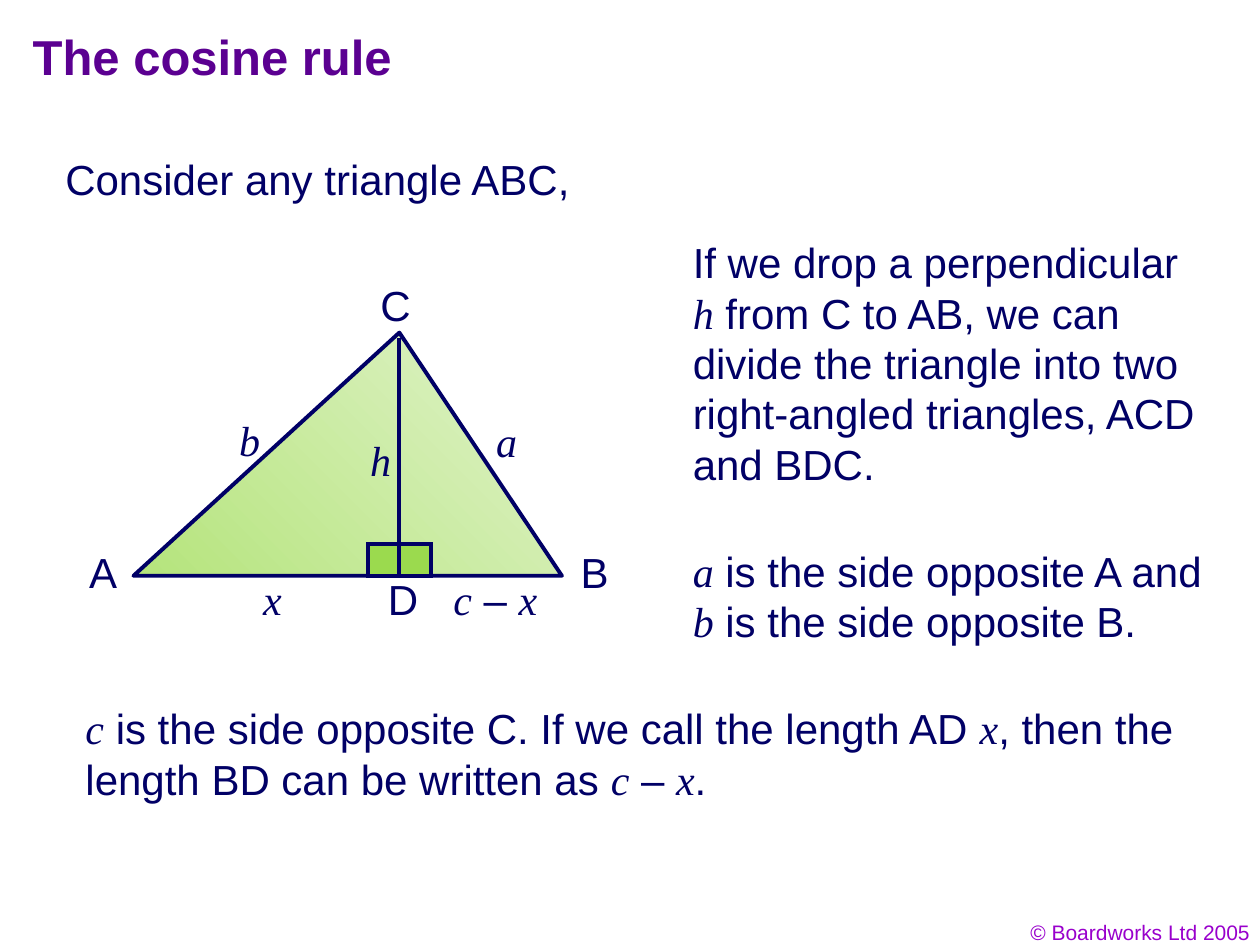
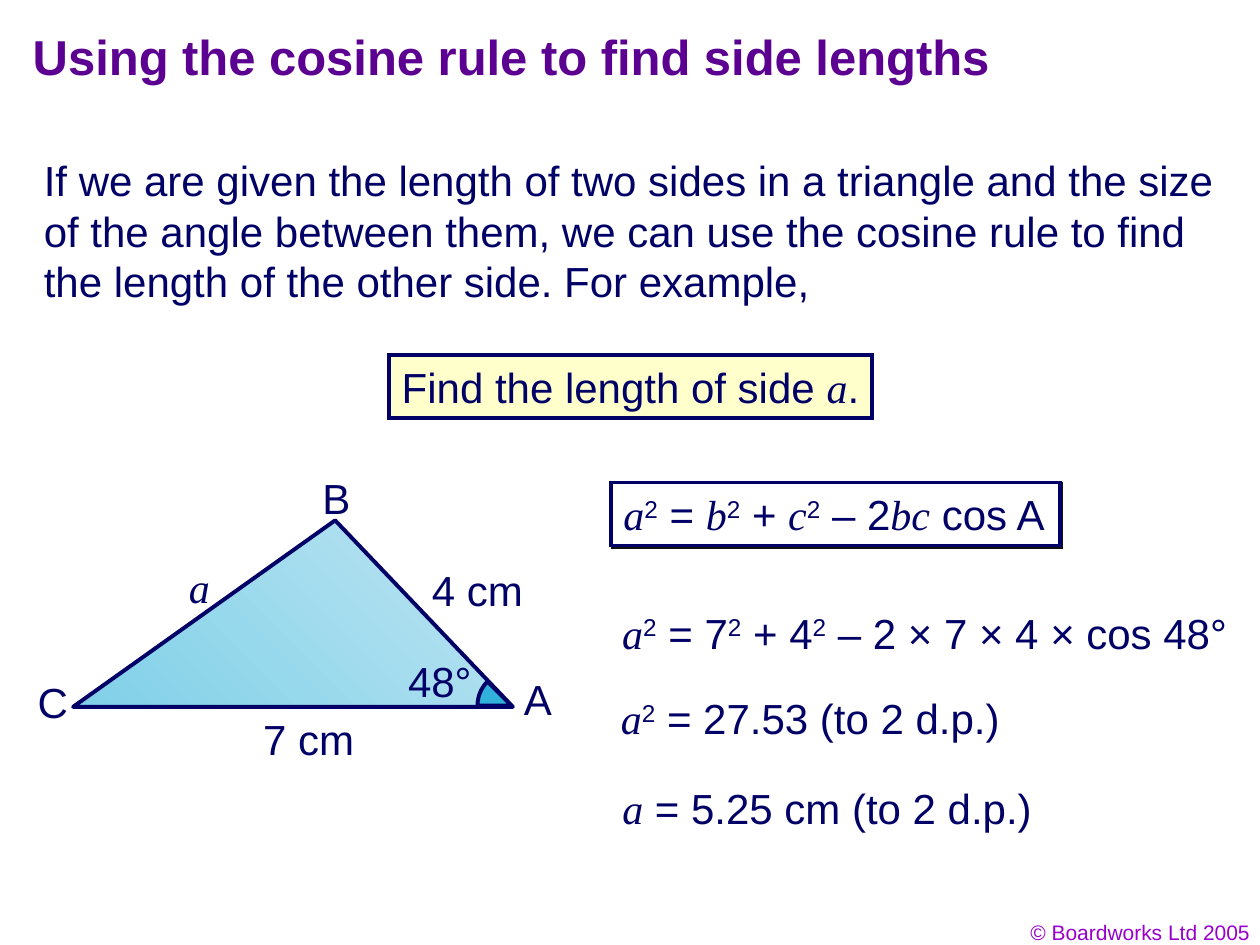
from math import cos, radians, sin
from lxml.etree import SubElement
from pptx import Presentation
from pptx.dml.color import RGBColor
from pptx.enum.shapes import MSO_CONNECTOR, MSO_SHAPE
from pptx.enum.text import MSO_ANCHOR, MSO_AUTO_SIZE, PP_ALIGN
from pptx.oxml.ns import qn
from pptx.util import Pt

PX = 9144
INK, EDGE, PLUM, VIOLET = "010066", "000066", "5B0091", "9900CC"
rgb = RGBColor.from_string


def put(shapes, at, text, fill=None, size=24, ink=INK, align=PP_ALIGN.LEFT):
    area = [n * PX for n in at]
    if fill:
        box = shapes.add_shape(MSO_SHAPE.RECTANGLE, *area)
        box.shadow.inherit = False
        box.fill.solid()
        box.fill.fore_color.rgb = rgb(fill)
        box.line.color.rgb = rgb(EDGE)
        box.line.width = Pt(2.25)
        SubElement(box._element.spPr.find(qn("a:ln")), qn("a:miter"), lim="800000")
    else:
        box = shapes.add_textbox(*area)
    frame = box.text_frame
    frame.word_wrap = at[3] > 50
    frame.vertical_anchor = MSO_ANCHOR.TOP
    para = frame.paragraphs[0]
    para.alignment = align
    para.line_spacing = Pt(size * 1.2)
    for i, part in enumerate(text.split("*")):
        for j, bit in enumerate(part.split("^")):
            if bit:
                run = para.add_run()
                run.text = bit
                run.font.size = Pt(size)
                run.font.color.rgb = rgb(ink)
                run.font.italic = i % 2 == 1
                run.font.name = "Times New Roman" if i % 2 else "Arial"
                if j % 2:
                    run.font._element.set("baseline", "30000")
    return box


def form(shapes, spots, fills):
    spots = [(round(x * PX), round(y * PX)) for x, y in spots]
    pen = shapes.build_freeform(*spots[0], scale=1.0)
    pen.add_line_segments(spots[1:], close=True)
    shape = pen.convert_to_shape()
    shape.shadow.inherit = False
    shape.line.color.rgb = rgb(EDGE)
    shape.line.width = Pt(2.25)
    if len(fills) == 1:
        shape.fill.solid()
        shape.fill.fore_color.rgb = rgb(fills[0])
    else:
        shape.fill.gradient()
        shape.fill.gradient_angle = 225
        for stop, tint in zip(shape.fill.gradient_stops, fills):
            stop.color.rgb = rgb(tint)


deck = Presentation()
deck.slide_width, deck.slide_height = 1000 * PX, 750 * PX
layout = deck.slide_layouts[5]
head = layout.placeholders[0]
head.left, head.top, head.width, head.height = [n * PX for n in (16, 16, 850, 67)]

pages = []
for title in ("The cosine rule", "Using the cosine rule to find side lengths"):
    page = deck.slides.add_slide(layout)
    frame = page.shapes.title.text_frame
    frame.text = title
    frame.auto_size = MSO_AUTO_SIZE.NONE
    frame.vertical_anchor = MSO_ANCHOR.TOP
    para = frame.paragraphs[0]
    para.alignment = PP_ALIGN.LEFT
    para.line_spacing = Pt(28 * 1.2)
    font = para.runs[0].font
    font.name, font.size, font.bold = "Arial", Pt(28), True
    font.color.rgb = rgb(PLUM)
    put(page.shapes, (769, 725, 233, 30), "© Boardworks Ltd 2005",
        size=12, ink=VIOLET, align=PP_ALIGN.RIGHT)
    pages.append(page.shapes)
rule, sides = pages

form(rule, [(106, 457), (446, 457), (317, 264)], ["E1F3CB", "B5E47C"])
drop = rule.add_connector(MSO_CONNECTOR.STRAIGHT, 317 * PX, 268 * PX, 317 * PX, 457 * PX)
drop.line.color.rgb = rgb(EDGE)
drop.line.width = Pt(2.25)
SubElement(drop._element.spPr, qn("a:effectLst"))
for x in (292, 317):
    put(rule, (x, 432, 25, 25), "", "9BDA4E")

for at, text in (
    ((42, 117, 426, 50), "Consider any triangle ABC,"),
    ((292, 217, 48, 50), "C"),
    ((61, 429, 46, 50), "A"),
    ((451, 429, 46, 50), "B"),
    ((298, 450, 48, 50), "D"),
    ((180, 324, 40, 50), "*b*"),
    ((384, 325, 40, 50), "*a*"),
    ((284, 340, 40, 50), "*h*"),
    ((199, 450, 39, 50), "*x*"),
    ((350, 450, 92, 50), "*c* – *x*"),
    ((540, 183, 427, 210), "If we drop a perpendicular *h* from C to AB, we can divide "
     "the triangle into two right-angled triangles, ACD and BDC."),
    ((540, 428, 443, 90), "*a* is the side opposite A and *b* is the side opposite B."),
    ((58, 553, 925, 90), "*c* is the side opposite C. If we call the length AD *x*, "
     "then the length BD can be written as *c* – *x*."),
):
    put(rule, at, text)

put(sides, (25, 118, 960, 130), "If we are given the length of two sides in a triangle "
    "and the size of the angle between them, we can use the cosine rule to find "
    "the length of the other side. For example,")
put(sides, (309, 282, 383, 50), "Find the length of side *a*.", "FFFFCC")

group = sides.add_group_shape().shapes
form(group, [(58, 561), (407, 561), (266, 413)], ["BDE5F2", "80D0E8"])
arc = [(406 + 27 * cos(radians(t)), 560 + 27 * sin(radians(t))) for t in range(180, 226, 5)]
form(group, [(406, 560)] + arc, ["2FB1D9"])
for at, text in (
    ((246, 370, 46, 50), "B"),
    ((20, 532, 48, 50), "C"),
    ((406, 530, 46, 50), "A"),
    ((199, 561, 96, 50), "7 cm"),
    ((333, 443, 96, 50), "4 cm"),
    ((314, 515, 76, 50), "48°"),
    ((140, 441, 40, 50), "*a*"),
):
    put(group, at, text)

law = put(sides, (485, 383, 356, 50), "*a*^2^ = *b*^2^ + *c*^2^ – 2*bc* cos A", "FFFFFF")
effects = law._element.spPr.find(qn("a:effectLst"))
shade = SubElement(effects, qn("a:outerShdw"), dist="17780", dir="2700000", algn="ctr", rotWithShape="0")
SubElement(shade, qn("a:srgbClr"), val="111111")
for at, text in (
    ((484, 477, 506, 50), "*a*^2^ = 7^2^ + 4^2^ – 2 × 7 × 4 × cos 48°"),
    ((483, 545, 327, 50), "*a*^2^ = 27.53 (to 2 d.p.)"),
    ((484, 616, 352, 50), "*a* = 5.25 cm (to 2 d.p.)"),
):
    put(sides, at, text)

deck.save("out.pptx")
